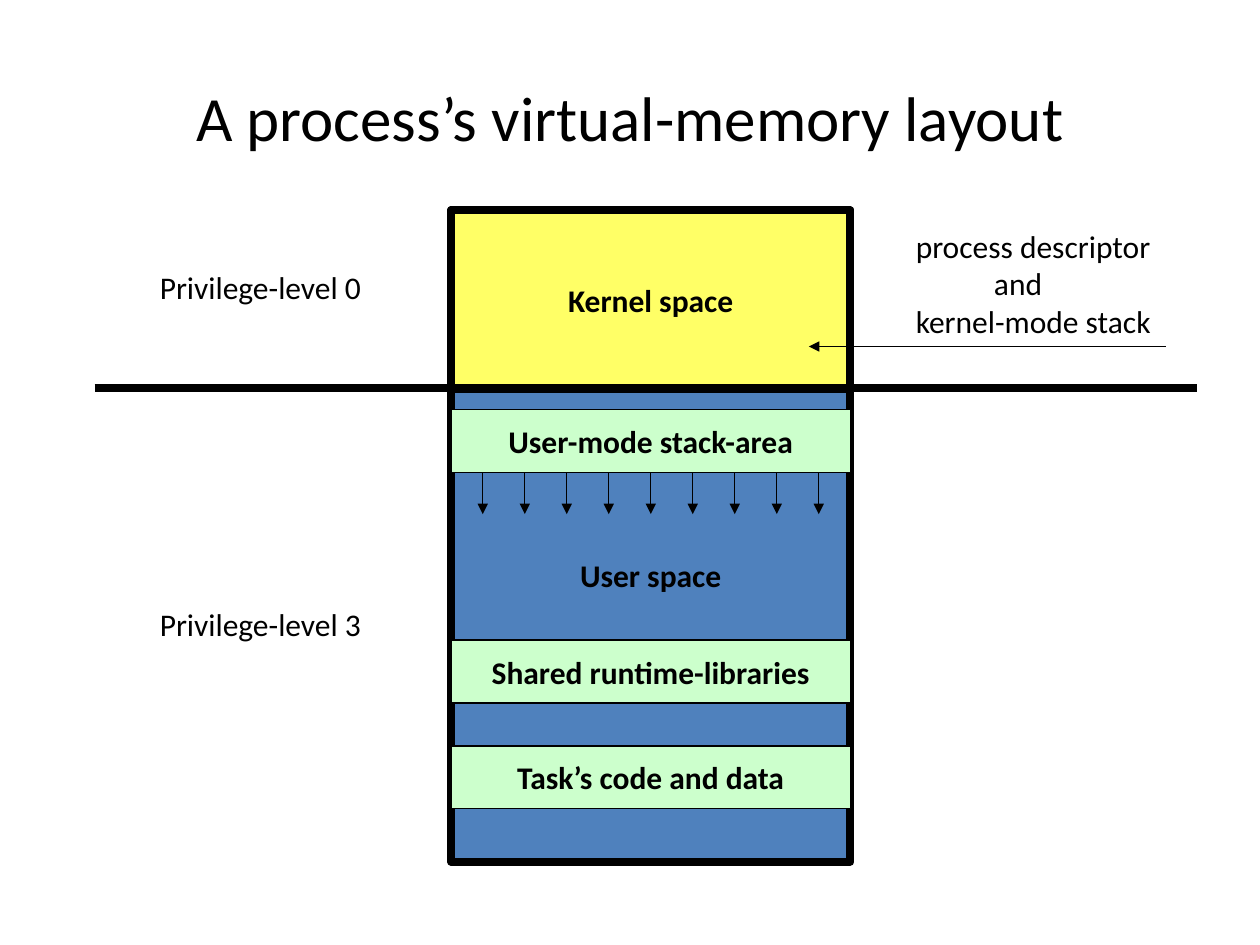
import pptx
import pptx.util
import pptx.dml.color
import pptx.enum.shapes
import pptx.enum.text
import pptx.oxml
import pptx.oxml.ns
from pptx.util import Inches

FONT = "Calibri"
BLACK = "000000"
CENTER = pptx.enum.text.PP_ALIGN.CENTER
MIDDLE = pptx.enum.text.MSO_ANCHOR.MIDDLE


def color(hex_string):
    return pptx.dml.color.RGBColor.from_string(hex_string)


def set_font(para, size=18, bold=False):
    para.font.name = FONT
    para.font.size = pptx.util.Pt(size)
    para.font.bold = bold
    para.font.color.rgb = color(BLACK)


def add_block(page, box, text, fill, line_width, top_margin=0.05):
    left, top, width, height = box
    block = page.shapes.add_shape(
        pptx.enum.shapes.MSO_SHAPE.RECTANGLE,
        Inches(left), Inches(top), Inches(width), Inches(height))
    block.shadow.inherit = False
    block.fill.solid()
    block.fill.fore_color.rgb = color(fill)
    block.line.color.rgb = color(BLACK)
    block.line.width = pptx.util.Pt(line_width)
    frame = block.text_frame
    frame.word_wrap = False
    frame.vertical_anchor = MIDDLE
    frame.margin_top = Inches(top_margin)
    para = frame.paragraphs[0]
    para.text = text
    para.alignment = CENTER
    set_font(para, bold=True)
    return block


def add_line(page, start, end, width=0.75, arrow=False):
    line = page.shapes.add_connector(
        pptx.enum.shapes.MSO_CONNECTOR.STRAIGHT,
        Inches(start[0]), Inches(start[1]), Inches(end[0]), Inches(end[1]))
    line.line.color.rgb = color(BLACK)
    line.line.width = pptx.util.Pt(width)
    if arrow:
        head = pptx.oxml.parse_xml(
            f'<a:tailEnd {pptx.oxml.ns.nsdecls("a")} type="triangle"/>')
        line.line._get_or_add_ln().append(head)
    line._element.spPr.append(pptx.oxml.parse_xml(
        f'<a:effectLst {pptx.oxml.ns.nsdecls("a")}/>'))
    return line


def add_label(page, box, lines):
    """Each line is a pair of text and left indent in inches."""
    left, top, width, height = box
    label = page.shapes.add_textbox(
        Inches(left), Inches(top), Inches(width), Inches(height))
    frame = label.text_frame
    frame.word_wrap = False
    for index, (text, indent) in enumerate(lines):
        para = frame.paragraphs[0] if index == 0 else frame.add_paragraph()
        para.text = text
        set_font(para)
        if indent:
            para._p.get_or_add_pPr().set("marL", str(Inches(indent)))


def add_title(page, box, text):
    left, top, width, height = box
    title = page.shapes.title
    title.left, title.top = Inches(left), Inches(top)
    title.width, title.height = Inches(width), Inches(height)
    title.text_frame.vertical_anchor = MIDDLE
    para = title.text_frame.paragraphs[0]
    para.text = text
    para.alignment = CENTER
    set_font(para, size=36)


def add_memory_map(page, box):
    left, top, width, height = box

    # User and kernel space
    add_block(page, box, "User space", "4F81BD", 4.5, top_margin=0.66)
    add_block(page, (left, top, width, 1.42), "Kernel space", "FFFF66", 4.5)

    # Regions inside user space
    band_height = 0.5
    regions = [("User-mode stack-area", 1.58),
               ("Shared runtime-libraries", 3.41),
               ("Task’s code and data", 4.25)]
    bands = [add_block(page, (left, top + offset, width, band_height),
                       text, "CCFFCC", 0.75) for text, offset in regions]

    # Arrows for the downward growth of the stack
    center = left + width / 2
    stack_bottom = top + regions[0][1] + band_height
    for step in range(-4, 5):
        x = center + step / 3
        arrow = add_line(page, (x, stack_bottom), (x, stack_bottom + 0.33),
                         arrow=True)
        if step == 0:
            arrow.begin_connect(bands[0], 2)


def add_privilege_levels(page, box):
    left, top, width, height = box
    boundary = top + 1.0
    add_line(page, (left, boundary), (left + width, boundary), width=4.5)
    for level, offset in ((0, 0), (3, 2.67)):
        add_label(page, (left + 0.42, top + offset, 1.97, 0.4),
                  [(f"Privilege-level {level}", 0)])


def add_kernel_note(page, box):
    left, top, width, height = box
    add_label(page, box, [("process descriptor", 0), ("and", 0.62),
                          ("kernel-mode stack", 0)])
    bottom = top + height
    add_line(page, (left + 2.08, bottom), (left - 0.75, bottom), arrow=True)


def main():
    deck = pptx.Presentation()
    deck.slide_width, deck.slide_height = Inches(10), Inches(7.5)
    page = deck.slides.add_slide(deck.slide_layouts[5])
    add_title(page, (0.5, 0.3, 9, 1.25), "A process’s virtual-memory layout")
    add_memory_map(page, (3.58, 1.67, 3.17, 5.17))
    add_privilege_levels(page, (0.75, 2.08, 8.75, 3.07))
    add_kernel_note(page, (7.17, 1.75, 2.24, 1))
    deck.save("out.pptx")


if __name__ == "__main__":
    main()
